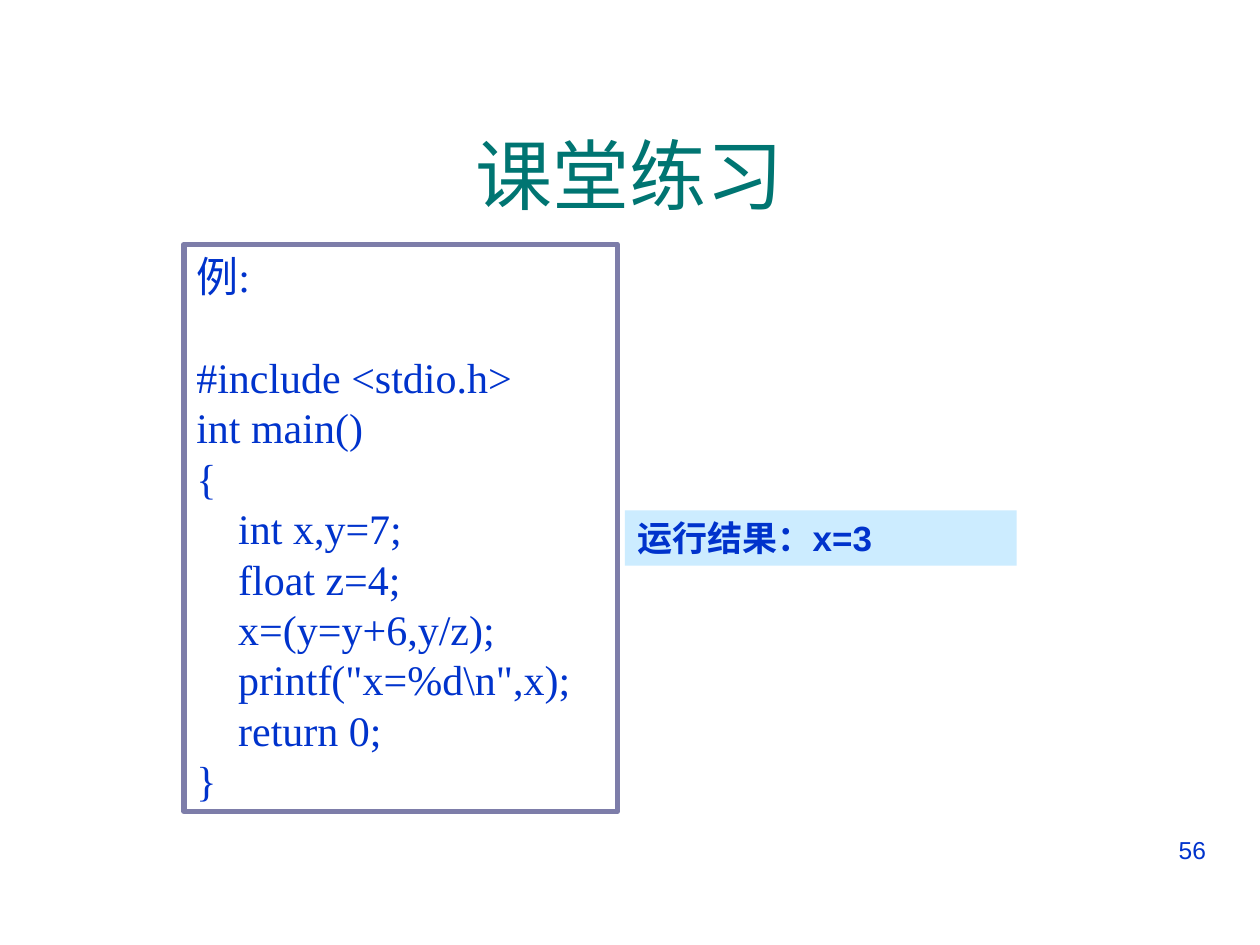
import dataclasses

import pptx
import pptx.dml.color
import pptx.enum.shapes
import pptx.enum.text
import pptx.util

Inches = pptx.util.Inches
Pt = pptx.util.Pt
RGB = pptx.dml.color.RGBColor.from_string
ALIGN = pptx.enum.text.PP_ALIGN
ANCHOR = pptx.enum.text.MSO_ANCHOR


@dataclasses.dataclass(frozen=True)
class Theme:
    title_color: str = "007572"
    text_color: str = "0033CC"
    code_fill: str = "FFFFFF"
    code_border: str = "7D7DA9"
    result_fill: str = "CCECFF"
    sans: str = "Arial"
    serif: str = "Times New Roman"
    title_size: int = 44
    code_size: int = 24
    result_size: int = 20
    number_size: int = 14
    border_width: int = 3
    code_gap: float = 28.8


class SlideBuilder:
    def __init__(self, slide, theme):
        self.slide = slide
        self.theme = theme

    def add_text(self, p, text, size, font, color, bold=False):
        r = p.add_run()
        r.text = text
        r.font.size = Pt(size)
        r.font.name = font
        r.font.bold = bold
        r.font.color.rgb = RGB(color)

    def frame(self, sp, anchor=ANCHOR.TOP):
        tf = sp.text_frame
        tf.word_wrap = True
        tf.vertical_anchor = anchor
        tf.paragraphs[0].alignment = ALIGN.LEFT
        return tf

    def label(self, box, text, size, color, align, anchor=ANCHOR.TOP):
        sp = self.slide.shapes.add_textbox(*map(Inches, box))
        p = self.frame(sp, anchor).paragraphs[0]
        p.alignment = align
        self.add_text(p, text, size, self.theme.sans, color)

    def panel(self, box, fill, border=None):
        sp = self.slide.shapes.add_shape(
            pptx.enum.shapes.MSO_SHAPE.RECTANGLE, *map(Inches, box))
        sp.shadow.inherit = False
        sp.fill.solid()
        sp.fill.fore_color.rgb = RGB(fill)
        if border:
            sp.line.color.rgb = RGB(border)
            sp.line.width = Pt(self.theme.border_width)
        else:
            sp.line.fill.background()
        return self.frame(sp)

    def code(self, box, heading, lines):
        t = self.theme
        tf = self.panel(box, t.code_fill, t.code_border)
        self.add_text(tf.paragraphs[0], heading, t.code_size, t.serif, t.text_color)
        for i, line in enumerate(lines):
            p = tf.add_paragraph()
            p.alignment = ALIGN.LEFT
            if i == 0:
                p.space_before = Pt(t.code_gap)
            self.add_text(p, line, t.code_size, t.serif, t.text_color)

    def result(self, box, text):
        t = self.theme
        tf = self.panel(box, t.result_fill)
        self.add_text(tf.paragraphs[0], text, t.result_size, t.sans, t.text_color, bold=True)


CODE = r"""#include <stdio.h>
int main()
{
    int x,y=7;
    float z=4;
    x=(y=y+6,y/z);
    printf("x=%d\n",x);
    return 0;
}"""


def main():
    prs = pptx.Presentation()
    prs.slide_width = Inches(10)
    prs.slide_height = Inches(7.5)
    theme = Theme()
    s = SlideBuilder(prs.slides.add_slide(prs.slide_layouts[6]), theme)

    s.label((7.17, 6.58, 2.5, 0.52), "56", theme.number_size, theme.text_color, ALIGN.RIGHT)
    s.label((0.33, 0.75, 9.34, 1.25), "课堂练习", theme.title_size, theme.title_color,
            ALIGN.CENTER, ANCHOR.MIDDLE)
    s.code((1.46, 1.94, 3.44, 4.5), "例:", CODE.splitlines())
    s.result((4.96, 4.05, 3.11, 0.44), "运行结果：x=3")

    prs.save("out.pptx")


if __name__ == "__main__":
    main()
